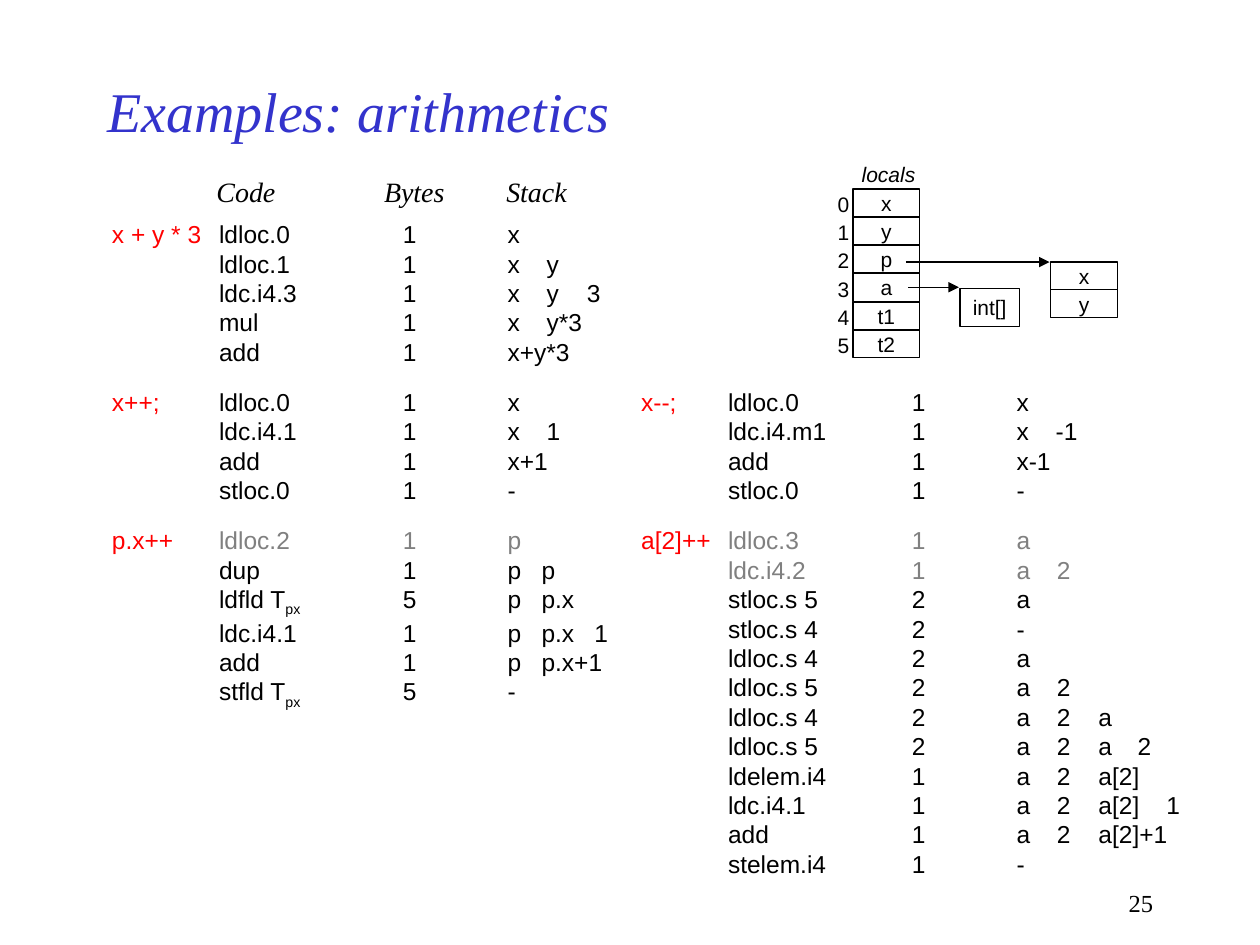
from dataclasses import dataclass
from lxml.etree import SubElement
from pptx import Presentation
from pptx.dml.color import RGBColor
from pptx.enum.shapes import MSO_CONNECTOR as Connector, MSO_SHAPE as Shape
from pptx.enum.text import MSO_ANCHOR as Anchor, PP_ALIGN as Align
from pptx.oxml.ns import qn
from pptx.util import Inches, Pt


@dataclass(frozen=True)
class Theme:
    serif: str = "Times New Roman"
    sans: str = "Arial"
    title: RGBColor = RGBColor(0x33, 0x33, 0xCC)
    ink: RGBColor = RGBColor(0, 0, 0)
    label: RGBColor = RGBColor(0xFF, 0, 0)
    muted: RGBColor = RGBColor(0x80, 0x80, 0x80)
    title_size: int = 32
    heading_size: int = 16
    body_size: int = 14
    diagram_size: int = 12
    line_width: float = 0.75


THEME = Theme()
CODE_TABS = (1.46, 2.29)
CELL_WIDTH, CELL_HEIGHT = 0.53, 0.22

HEADINGS = (("Code", 1.62), ("Bytes", 2.95), ("Stack", 3.92))

# Each row holds the instruction, its bytes and the stack entries.
EXAMPLES = (
    ("x + y * 3", 0.79, 1.64, 1.69, 0, (0.31, 0.63), (
        ("ldloc.0", 1, "x"), ("ldloc.1", 1, "x y"), ("ldc.i4.3", 1, "x y 3"),
        ("mul", 1, "x y*3"), ("add", 1, "x+y*3"))),
    ("x++;", 0.79, 1.64, 3.02, 0, (0.31,), (
        ("ldloc.0", 1, "x"), ("ldc.i4.1", 1, "x 1"),
        ("add", 1, "x+1"), ("stloc.0", 1, "-"))),
    ("x--;", 4.99, 5.68, 3.02, 0, (0.31,), (
        ("ldloc.0", 1, "x"), ("ldc.i4.m1", 1, "x -1"),
        ("add", 1, "x-1"), ("stloc.0", 1, "-"))),
    ("p.x++", 0.79, 1.64, 4.12, 1, (0.27, 0.69), (
        ("ldloc.2", 1, "p"), ("dup", 1, "p p"), ("ldfld T_px", 5, "p p.x"),
        ("ldc.i4.1", 1, "p p.x 1"), ("add", 1, "p p.x+1"),
        ("stfld T_px", 5, "-"))),
    ("a[2]++", 4.99, 5.68, 4.12, 2, (0.32, 0.65, 0.96, 1.19), (
        ("ldloc.3", 1, "a"), ("ldc.i4.2", 1, "a 2"), ("stloc.s 5", 2, "a"),
        ("stloc.s 4", 2, "-"), ("ldloc.s 4", 2, "a"), ("ldloc.s 5", 2, "a 2"),
        ("ldloc.s 4", 2, "a 2 a"), ("ldloc.s 5", 2, "a 2 a 2"),
        ("ldelem.i4", 1, "a 2 a[2]"), ("ldc.i4.1", 1, "a 2 a[2] 1"),
        ("add", 1, "a 2 a[2]+1"), ("stelem.i4", 1, "-"))),
)


def style(run, size, color=THEME.ink, face=THEME.sans, italic=False):
    font = run.font
    font.name, font.size, font.italic = face, Pt(size), italic
    font.color.rgb = color


def add_text(slide, text, left, top, width, height, size, align=Align.LEFT, **look):
    box = slide.shapes.add_textbox(
        Inches(left), Inches(top), Inches(width), Inches(height))
    box.text_frame.word_wrap = True
    paragraph = box.text_frame.paragraphs[0]
    paragraph.text = text
    paragraph.alignment = align
    style(paragraph.runs[0], size, **look)


def add_cell(slide, text, left, top, width=CELL_WIDTH, height=CELL_HEIGHT):
    cell = slide.shapes.add_shape(
        Shape.RECTANGLE, Inches(left), Inches(top), Inches(width), Inches(height))
    cell.shadow.inherit = False
    cell.fill.background()
    cell.line.color.rgb = THEME.ink
    cell.line.width = Pt(THEME.line_width)
    frame = cell.text_frame
    frame.margin_top = frame.margin_bottom = 0
    frame.margin_left = frame.margin_right = 0
    frame.vertical_anchor = Anchor.MIDDLE
    frame.text = text
    frame.paragraphs[0].alignment = Align.CENTER
    style(frame.paragraphs[0].runs[0], THEME.diagram_size)


def add_line(slide, x1, y1, x2, y2, arrow=False):
    line = slide.shapes.add_connector(
        Connector.STRAIGHT, Inches(x1), Inches(y1), Inches(x2), Inches(y2))
    line.line.color.rgb = THEME.ink
    line.line.width = Pt(THEME.line_width)
    if arrow:
        SubElement(line.line._get_or_add_ln(), qn("a:tailEnd"), type="triangle")
    SubElement(line._element.spPr, qn("a:effectLst"))


def add_title(slide, text, left, top, width, height):
    title = slide.shapes.title
    title.left, title.top = Inches(left), Inches(top)
    title.width, title.height = Inches(width), Inches(height)
    frame = title.text_frame
    frame.text = text
    frame.vertical_anchor = Anchor.MIDDLE
    frame.paragraphs[0].alignment = Align.LEFT
    style(frame.paragraphs[0].runs[0], THEME.title_size, THEME.title,
          THEME.serif, italic=True)


def add_listing(slide, rows, left, top, muted_rows, stack_tabs):
    box = slide.shapes.add_textbox(
        Inches(left), Inches(top), Inches(3.8), Inches(0.1 + 0.23 * len(rows)))
    frame = box.text_frame
    frame.word_wrap = True
    stops = CODE_TABS + tuple(CODE_TABS[-1] + offset for offset in stack_tabs)
    for index, (code, size, stack) in enumerate(rows):
        paragraph = frame.paragraphs[0] if index == 0 else frame.add_paragraph()
        tabs = SubElement(paragraph._p.get_or_add_pPr(), qn("a:tabLst"))
        for stop in stops:
            SubElement(tabs, qn("a:tab"), pos=str(Inches(stop)), algn="l")
        name, _, subscript = code.partition("_")
        color = THEME.muted if index < muted_rows else THEME.ink
        columns = "\t".join(["", str(size), *stack.split()])
        for text in filter(None, (name, subscript, columns)):
            run = paragraph.add_run()
            run.text = text
            style(run, THEME.body_size, color)
            if text == subscript:
                run._r.get_or_add_rPr().set("baseline", "-25000")


def add_example(slide, label, label_left, code_left, top, muted_rows, tabs, rows):
    add_text(slide, label, label_left, top, 1.05, 0.34, THEME.body_size,
             color=THEME.label)
    add_listing(slide, rows, code_left, top, muted_rows, tabs)


def add_locals(slide, left, top):
    pitch = 0.224
    add_text(slide, "locals", left - 0.03, top - 0.27, 0.75, 0.3,
             THEME.diagram_size, italic=True)
    for index, name in enumerate(("x", "y", "p", "a", "t1", "t2")):
        row_top = top + index * pitch
        add_cell(slide, name, left, row_top)
        add_text(slide, str(index), left - 0.22, row_top - 0.03, 0.29, 0.3,
                 THEME.diagram_size)
    for side in (left, left + CELL_WIDTH):
        add_line(slide, side, top, side, top + 3 * pitch)

    for index, name in enumerate(("x", "y")):
        add_cell(slide, name, left + 1.57, top + 0.58 + index * CELL_HEIGHT)
    add_cell(slide, "int[]", left + 0.85, top + 0.79, 0.47, 0.3)
    add_line(slide, left + 0.42, top + 0.58, left + 1.56, top + 0.58, arrow=True)
    add_line(slide, left + 0.44, top + 0.78, left + 0.84, top + 0.78, arrow=True)


def main():
    presentation = Presentation()
    presentation.slide_width, presentation.slide_height = Inches(10), Inches(7.5)
    slide = presentation.slides.add_slide(presentation.slide_layouts[5])
    add_title(slide, "Examples: arithmetics", 0.75, 0.5, 7.5, 0.75)
    for heading, left in HEADINGS:
        add_text(slide, heading, left, 1.34, 0.8, 0.37, THEME.heading_size,
                 face=THEME.serif, italic=True)
    for example in EXAMPLES:
        add_example(slide, *example)
    add_locals(slide, 6.77, 1.5)
    add_text(slide, "25", 7.17, 7, 2.08, 0.33, THEME.body_size,
             align=Align.RIGHT, face=THEME.serif)
    presentation.save("out.pptx")


if __name__ == "__main__":
    main()
